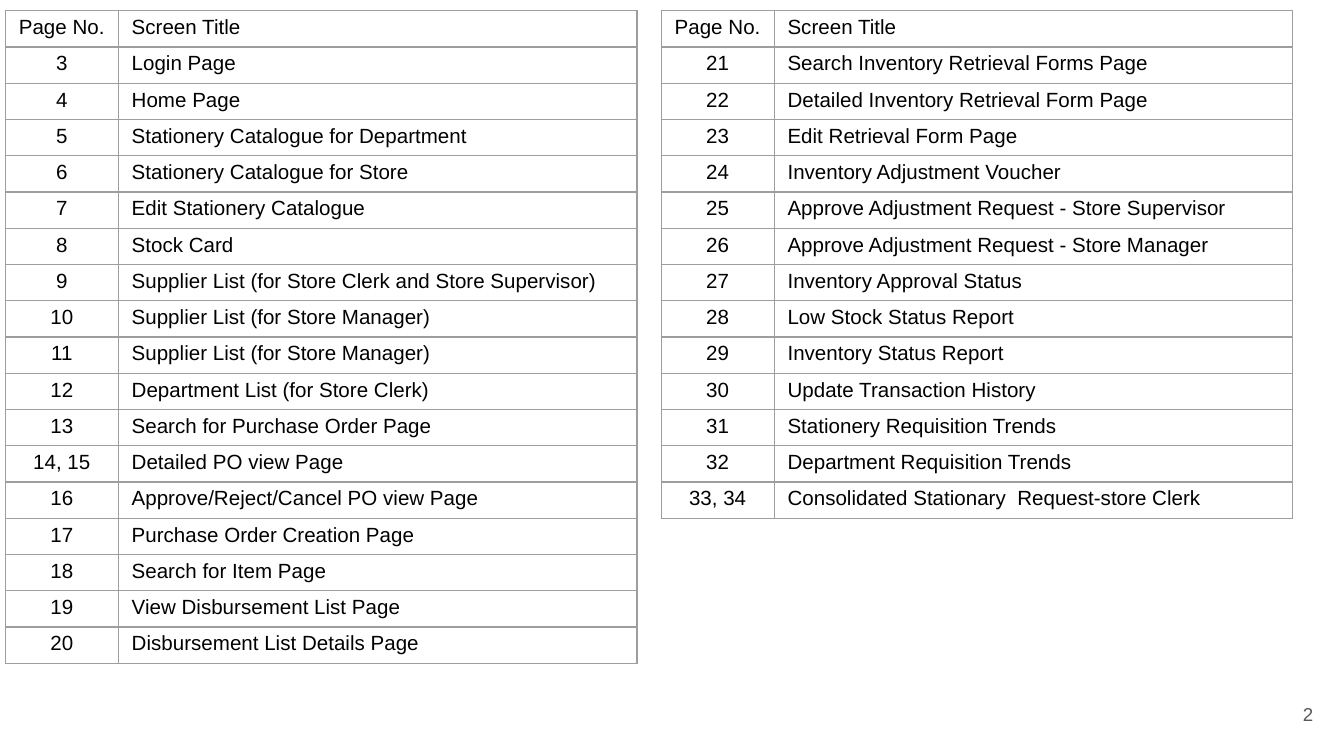
from typing import NamedTuple

from pptx import Presentation
from pptx import util as u
from pptx.dml.color import RGBColor
from pptx.enum import text as t
from pptx.oxml import xmlchemy as xc

BLACK = RGBColor(0x00, 0x00, 0x00)
GRAY = RGBColor(0x59, 0x59, 0x59)
RULE = RGBColor(0x9E, 0x9E, 0x9E)
FONT = "Arial"
SLIDE_W = u.Inches(10)
SLIDE_H = SLIDE_W * 9 // 16
TOP = 0.08
ROW_H = 0.27
CELL_PAD = 0.04
COL_W = (0.84, 3.86)


class Screen(NamedTuple):
    page: str
    title: str


class Index(NamedTuple):
    left: float
    screens: list[Screen]


HEADER = Screen("Page No.", "Screen Title")
INDEXES = [
    Index(0.04, [
        Screen("3", "Login Page"),
        Screen("4", "Home Page"),
        Screen("5", "Stationery Catalogue for Department"),
        Screen("6", "Stationery Catalogue for Store"),
        Screen("7", "Edit Stationery Catalogue"),
        Screen("8", "Stock Card"),
        Screen("9", "Supplier List (for Store Clerk and Store Supervisor)"),
        Screen("10", "Supplier List (for Store Manager)"),
        Screen("11", "Supplier List (for Store Manager)"),
        Screen("12", "Department List (for Store Clerk)"),
        Screen("13", "Search for Purchase Order Page"),
        Screen("14, 15", "Detailed PO view Page"),
        Screen("16", "Approve/Reject/Cancel PO view Page"),
        Screen("17", "Purchase Order Creation Page"),
        Screen("18", "Search for Item Page"),
        Screen("19", "View Disbursement List Page"),
        Screen("20", "Disbursement List Details Page"),
    ]),
    Index(4.92, [
        Screen("21", "Search Inventory Retrieval Forms Page"),
        Screen("22", "Detailed Inventory Retrieval Form Page"),
        Screen("23", "Edit Retrieval Form Page"),
        Screen("24", "Inventory Adjustment Voucher"),
        Screen("25", "Approve Adjustment Request - Store Supervisor"),
        Screen("26", "Approve Adjustment Request - Store Manager"),
        Screen("27", "Inventory Approval Status"),
        Screen("28", "Low Stock Status Report"),
        Screen("29", "Inventory Status Report"),
        Screen("30", "Update Transaction History"),
        Screen("31", "Stationery Requisition Trends"),
        Screen("32", "Department Requisition Trends"),
        Screen("33, 34", "Consolidated Stationary  Request-store Clerk"),
    ]),
]


def write(tf, text: str, *, size: float = 11, color: RGBColor = BLACK,
          align: t.PP_ALIGN = t.PP_ALIGN.LEFT) -> None:
    p = tf.paragraphs[0]
    p.alignment = align
    r = p.add_run()
    r.text = text
    r.font.name = FONT
    r.font.size = u.Pt(size)
    r.font.color.rgb = color


def add_borders(cell) -> None:
    pr = cell._tc.get_or_add_tcPr()
    for i, side in enumerate(("lnL", "lnR", "lnT", "lnB")):
        ln = xc.OxmlElement(f"a:{side}")
        ln.set("w", str(u.Pt(0.75)))
        fill = xc.OxmlElement("a:solidFill")
        clr = xc.OxmlElement("a:srgbClr")
        clr.set("val", str(RULE))
        fill.append(clr)
        ln.append(fill)
        pr.insert(i, ln)


def add_index(s, index: Index) -> None:
    rows = [HEADER, *index.screens]
    tbl = s.shapes.add_table(
        len(rows), len(COL_W), u.Inches(index.left), u.Inches(TOP),
        u.Inches(sum(COL_W)), u.Inches(ROW_H * len(rows))).table
    tbl.first_row = tbl.horz_banding = False
    for col, width in zip(tbl.columns, COL_W):
        col.width = u.Inches(width)
    for i, screen in enumerate(rows):
        tbl.rows[i].height = u.Inches(ROW_H)
        for j, text in enumerate(screen):
            cell = tbl.cell(i, j)
            cell.margin_top = cell.margin_bottom = u.Inches(CELL_PAD)
            cell.fill.background()
            add_borders(cell)
            centred = i > 0 and j == 0
            write(cell.text_frame, text,
                  align=t.PP_ALIGN.CENTER if centred else t.PP_ALIGN.LEFT)


def add_page_number(s, number: str) -> None:
    tf = s.shapes.add_textbox(u.Inches(9.27), u.Inches(5.1),
                              u.Inches(0.6), u.Inches(0.43)).text_frame
    tf.word_wrap = True
    tf.vertical_anchor = t.MSO_ANCHOR.MIDDLE
    tf.margin_left = tf.margin_right = u.Inches(0.1)
    tf.margin_top = tf.margin_bottom = u.Inches(0.1)
    write(tf, number, size=10, color=GRAY, align=t.PP_ALIGN.RIGHT)


def main() -> None:
    prs = Presentation()
    prs.slide_width, prs.slide_height = SLIDE_W, SLIDE_H
    s = prs.slides.add_slide(prs.slide_layouts[6])
    add_page_number(s, "2")
    for index in INDEXES:
        add_index(s, index)
    prs.save("out.pptx")


if __name__ == "__main__":
    main()
